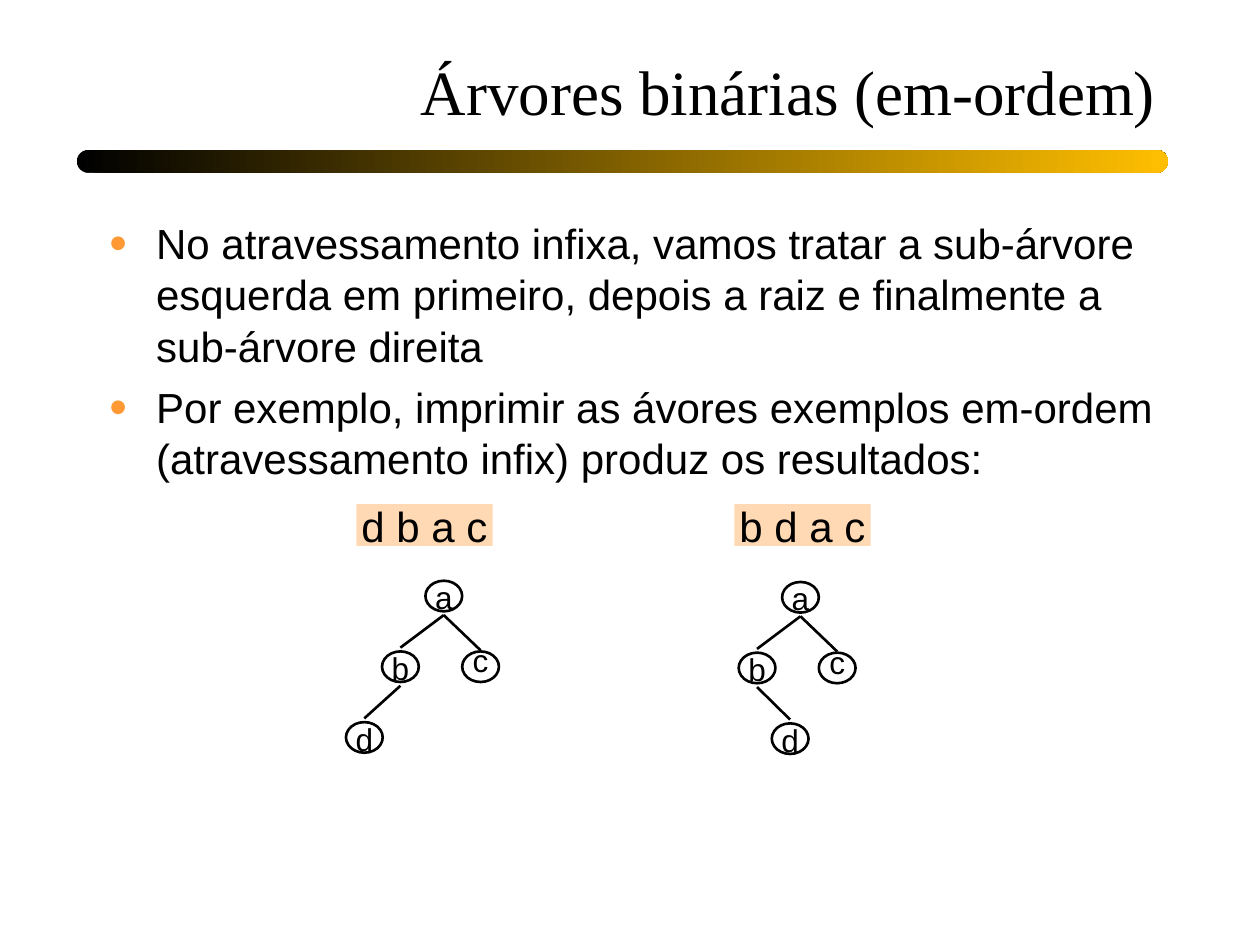
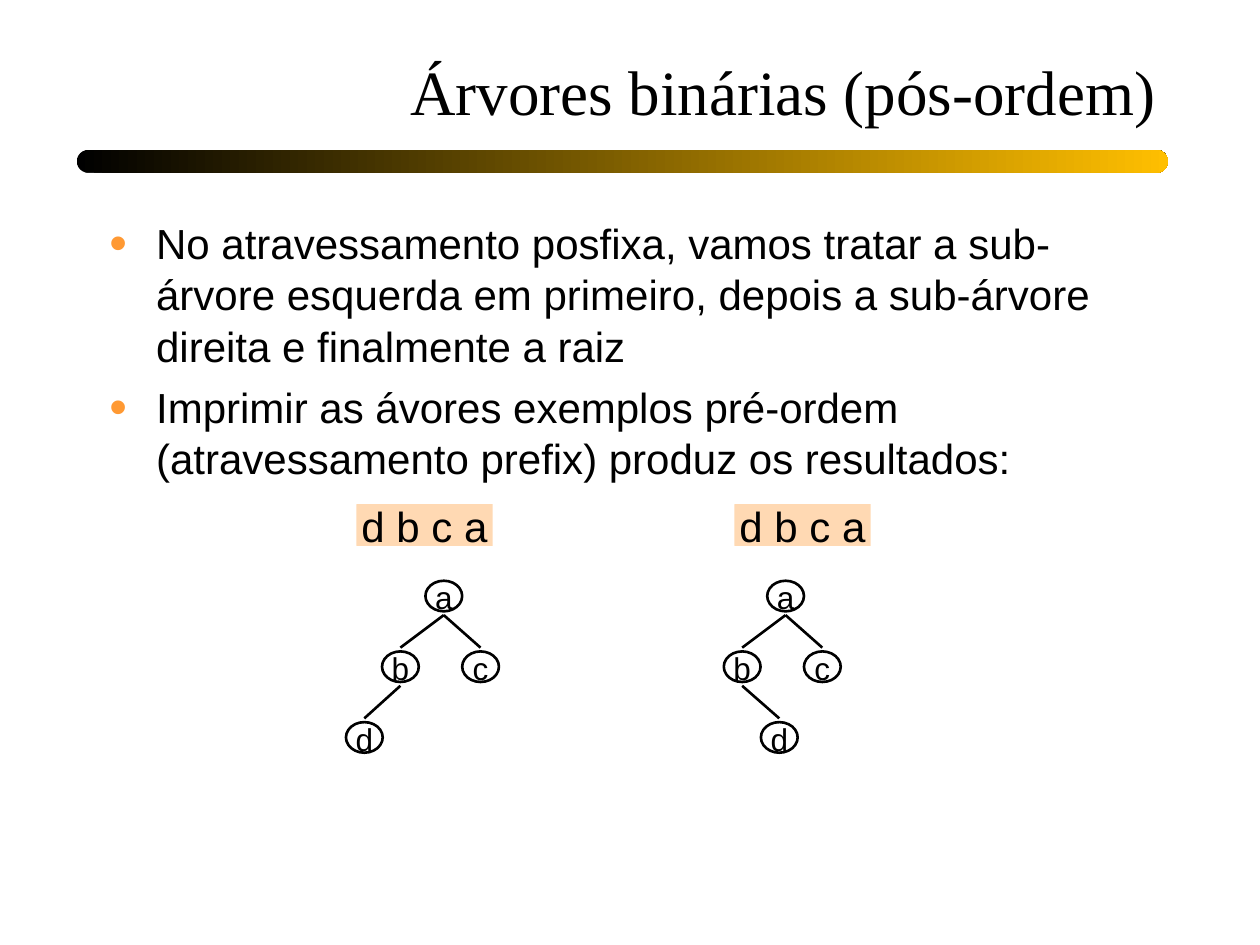
from pptx import Presentation
from pptx.dml.color import RGBColor
from pptx.enum.shapes import MSO_CONNECTOR as Connector, MSO_SHAPE as Preset
from pptx.enum.text import MSO_ANCHOR as Anchor, MSO_AUTO_SIZE as Fit, PP_ALIGN as Align
from pptx.oxml.ns import qn
from pptx.util import Pt
from lxml.etree import SubElement

BLACK, GOLD, ORANGE, PEACH = "000000", "FFBF00", "FF9933", "FFD9B3"
SERIF, SANS = "Times New Roman", "Arial"
LINE_WIDTH = 1.5
NODE_WIDTH, NODE_HEIGHT = 21, 17.5
LEVEL_STEP = 40.4
EDGE_GAP = 10.9
LABEL_DROP = 0.4
LEFT_CHILD, RIGHT_CHILD = -24.8, 21
RESULT_CENTRES, RESULT_Y = (242.6, 458.6), 300

TITLE_FRAME = {"vertical_anchor": Anchor.BOTTOM, "word_wrap": True}
BODY_FRAME = {"vertical_anchor": Anchor.TOP, "word_wrap": True}
CENTRED_FRAME = {"vertical_anchor": Anchor.MIDDLE, "word_wrap": False,
                 "auto_size": Fit.SHAPE_TO_FIT_TEXT}
NODE_FRAME = CENTRED_FRAME | {
    "margin_" + side: 0 for side in ("left", "top", "right", "bottom")}
RIGHT_PARA = {"alignment": Align.RIGHT, "line_spacing": 1.02}
CENTRED_PARA = {"alignment": Align.CENTER, "line_spacing": 1.02}
BODY_PARA = {"alignment": Align.LEFT, "line_spacing": 1.02, "space_before": Pt(5.6)}

SLIDES = [
    {
        "title": "Árvores binárias (em-ordem)",
        "points": [
            "No atravessamento infixa, vamos tratar a sub-árvore esquerda em primeiro, "
            "depois a raiz e finalmente a sub-árvore direita",
            "Por exemplo, imprimir as ávores exemplos em-ordem (atravessamento infix) "
            "produz os resultados:",
        ],
        "results": ["d b a c", "b d a c"],
        "trees": [(253.6, 340.6, -45.4), (457.4, 341.3, -5.9)],
        "c_lift": 4.3,
        "c_edge_extra": 1.5,
    },
    {
        "title": "Árvores binárias (pós-ordem)",
        "points": [
            "No atravessamento posfixa, vamos tratar a sub-árvore esquerda em primeiro, "
            "depois a sub-árvore direita e finalmente a raiz",
            "Imprimir as ávores exemplos pré-ordem (atravessamento prefix) "
            "produz os resultados:",
        ],
        "results": ["d b c a", "d b c a"],
        "trees": [(253.6, 340.6, -45.4), (448.9, 340.6, -3.6)],
        "c_lift": 0,
        "c_edge_extra": 0,
    },
]


def colour(value):
    return RGBColor.from_string(value)


def apply(target, values):
    for name, value in values.items():
        setattr(target, name, value)


def points(*lengths):
    return [Pt(length) for length in lengths]


def around(x, y, width, height):
    return x - width / 2, y - height / 2, width, height


def add_text(page, area, texts, frame_values, para_values, font, size):
    frame = page.shapes.add_textbox(*points(*area)).text_frame
    apply(frame, frame_values)
    for index, text in enumerate(texts):
        para = frame.paragraphs[0] if index == 0 else frame.add_paragraph()
        apply(para, para_values)
        span = para.add_run()
        span.text = text
        apply(span.font, {"name": font, "size": Pt(size)})
        span.font.color.rgb = colour(BLACK)
    return frame


def add_bullet(para):
    properties = para._p.get_or_add_pPr()
    properties.set("marL", str(Pt(26.8)))
    properties.set("indent", str(-Pt(26.8)))
    tint = SubElement(properties, qn("a:buClr"))
    SubElement(tint, qn("a:srgbClr"), val=ORANGE)
    SubElement(properties, qn("a:buSzPct"), val="120000")
    SubElement(properties, qn("a:buFont"), typeface=SANS)
    SubElement(properties, qn("a:buChar"), char="•")


def add_preset(page, preset, area):
    shape = page.shapes.add_shape(preset, *points(*area))
    shape.shadow.inherit = False
    return shape


def add_band(page):
    band = add_preset(page, Preset.ROUNDED_RECTANGLE, (43.9, 85.7, 623.5, 13))
    band.adjustments[0] = 0.5
    band.line.fill.background()
    band.fill.gradient()
    band.fill.gradient_angle = 0
    for stop, value in zip(band.fill.gradient_stops, (BLACK, GOLD)):
        stop.color.rgb = colour(value)


def add_heading(page, title):
    add_band(page)
    add_text(page, (55.4, 10.8, 612, 66.2), [title], TITLE_FRAME, RIGHT_PARA, SERIF, 36)


def add_body(page, texts):
    frame = add_text(page, (55.4, 120.2, 612, 378), texts, BODY_FRAME, BODY_PARA, SANS, 24)
    for para in frame.paragraphs:
        add_bullet(para)


def add_result(page, x, text):
    chip = add_preset(page, Preset.ROUNDED_RECTANGLE, around(x, RESULT_Y, 77.8, 23.8))
    chip.adjustments[0] = 0.005
    chip.fill.solid()
    chip.fill.fore_color.rgb = colour(PEACH)
    chip.line.fill.background()
    add_text(page, around(x, RESULT_Y, 86.4, 36.7), [text],
             CENTRED_FRAME, CENTRED_PARA, SANS, 24)


def draw_line(line):
    line.color.rgb = colour(BLACK)
    line.width = Pt(LINE_WIDTH)


def add_node(page, x, y, letter, lift):
    ring = add_preset(page, Preset.OVAL, around(x, y, NODE_WIDTH, NODE_HEIGHT))
    ring.fill.background()
    draw_line(ring.line)
    add_text(page, around(x, y + LABEL_DROP - lift, 10, 22.3), [letter],
             NODE_FRAME, CENTRED_PARA, SANS, 18)


def add_edge(page, parent, child, extra):
    start = parent[0], parent[1] + EDGE_GAP
    end = child[0], child[1] - EDGE_GAP + extra
    edge = page.shapes.add_connector(Connector.STRAIGHT, *points(*start, *end))
    draw_line(edge.line)
    SubElement(edge._element.spPr, qn("a:effectLst"))


def add_tree(page, x, y, leaf_offset, c_lift, c_edge_extra):
    nodes = {
        "a": (x, y),
        "b": (x + LEFT_CHILD, y + LEVEL_STEP),
        "c": (x + RIGHT_CHILD, y + LEVEL_STEP),
        "d": (x + leaf_offset, y + 2 * LEVEL_STEP),
    }
    for letter, centre in nodes.items():
        add_node(page, *centre, letter, c_lift if letter == "c" else 0)
    for parent, child in ("ab", "ac", "bd"):
        add_edge(page, nodes[parent], nodes[child], c_edge_extra if child == "c" else 0)


def main():
    deck = Presentation()
    apply(deck, {"slide_width": Pt(720), "slide_height": Pt(540)})
    for content in SLIDES:
        page = deck.slides.add_slide(deck.slide_layouts[6])
        add_heading(page, content["title"])
        add_body(page, content["points"])
        for x, text in zip(RESULT_CENTRES, content["results"]):
            add_result(page, x, text)
        for tree in content["trees"]:
            add_tree(page, *tree, content["c_lift"], content["c_edge_extra"])
    deck.save("out.pptx")


if __name__ == "__main__":
    main()
